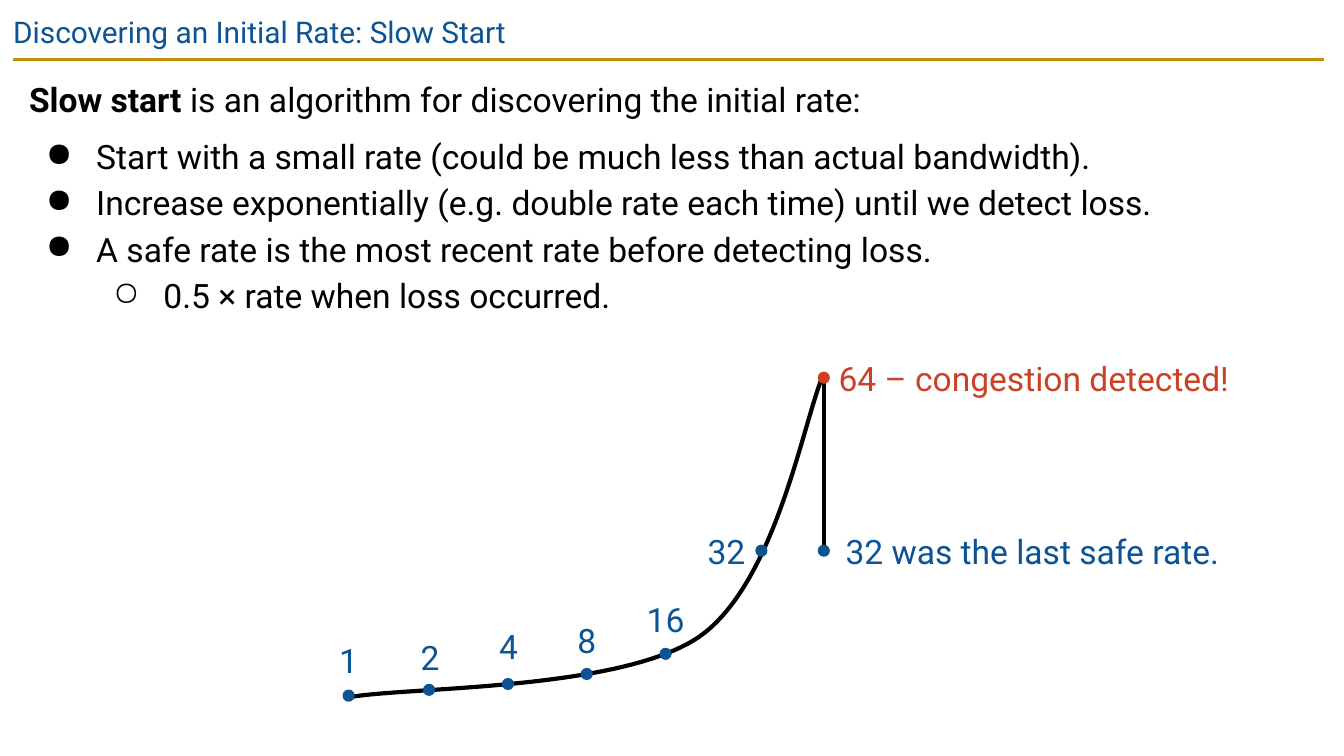
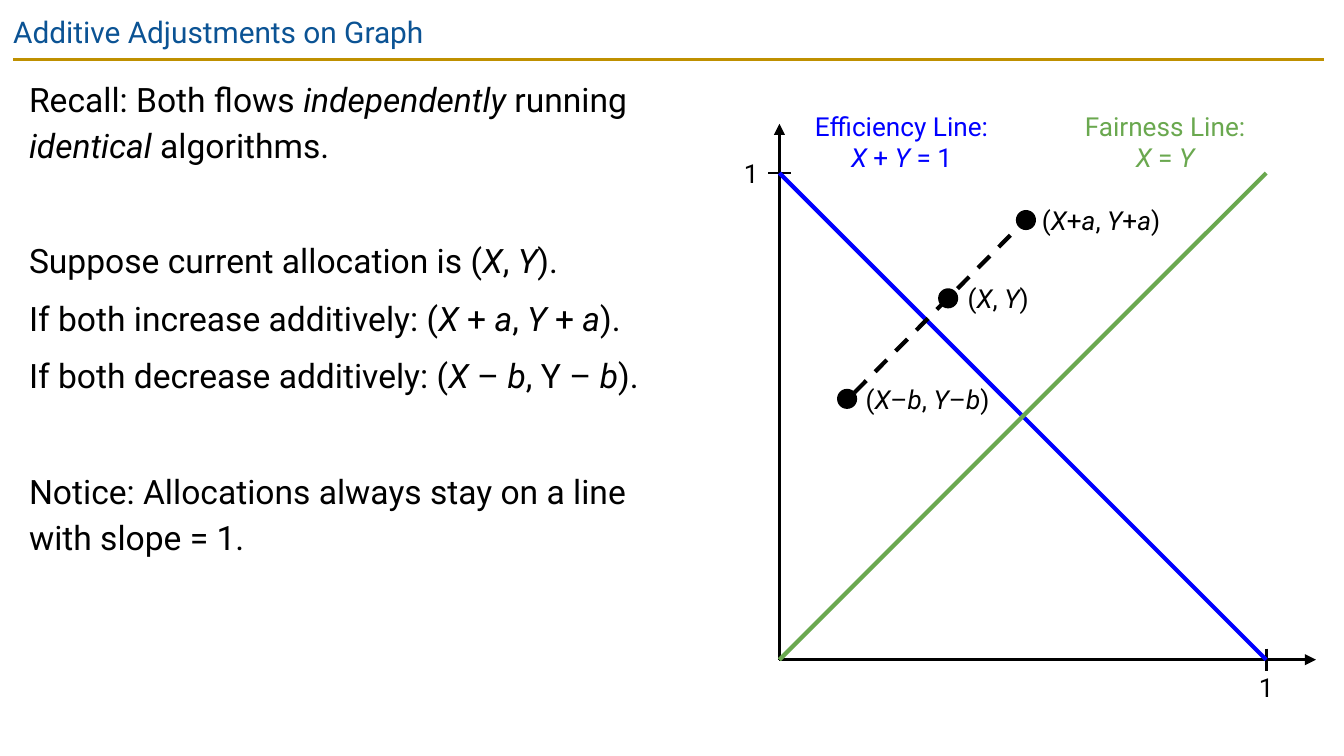
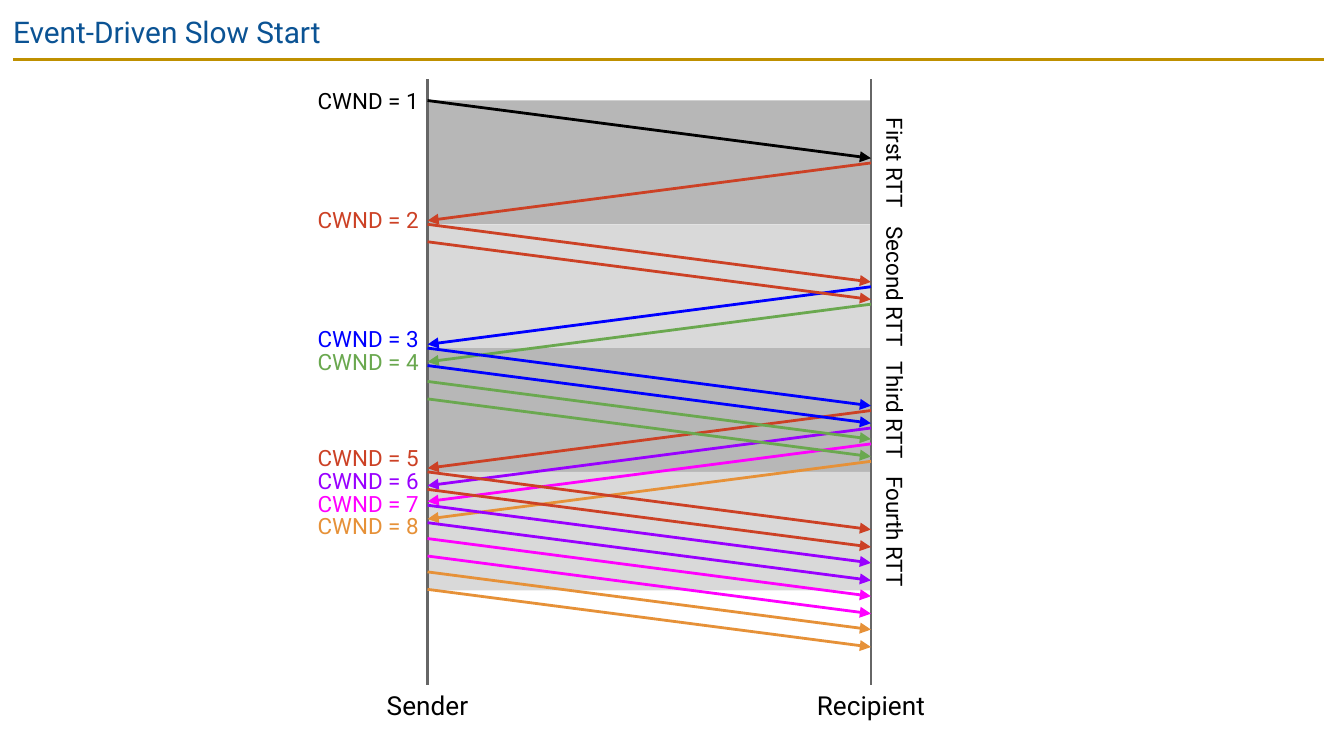
from lxml import etree
from pptx import Presentation
from pptx.dml.color import RGBColor
from pptx.enum.dml import MSO_LINE
from pptx.enum.shapes import MSO_CONNECTOR, MSO_SHAPE
from pptx.enum.text import MSO_ANCHOR, PP_ALIGN
from pptx.oxml.ns import qn
from pptx.util import Cm, Pt

LEFT, CENTER = PP_ALIGN.LEFT, PP_ALIGN.CENTER
TOP = MSO_ANCHOR.TOP
STRAIGHT = MSO_CONNECTOR.STRAIGHT
RECTANGLE, OVAL = MSO_SHAPE.RECTANGLE, MSO_SHAPE.OVAL
DASH = MSO_LINE.DASH

BLACK = RGBColor(0x00, 0x00, 0x00)
NAVY = RGBColor(0x0B, 0x53, 0x94)
GOLD = RGBColor(0xBF, 0x90, 0x00)
RED = RGBColor(0xCC, 0x41, 0x25)
BLUE = RGBColor(0x00, 0x00, 0xFF)
GREEN = RGBColor(0x6A, 0xA8, 0x4F)
PURPLE = RGBColor(0x99, 0x00, 0xFF)
MAGENTA = RGBColor(0xFF, 0x00, 0xFF)
ORANGE = RGBColor(0xE6, 0x91, 0x38)
LIGHT_GRAY = RGBColor(0xD9, 0xD9, 0xD9)
MID_GRAY = RGBColor(0xB7, 0xB7, 0xB7)
DARK_GRAY = RGBColor(0x66, 0x66, 0x66)

FONT = "Roboto"
BULLETS = "●○"


def apply(target, values):
    for name, value in values.items():
        setattr(target, name, value)


class Deck:
    def __init__(self):
        self.prs = Presentation()
        apply(self.prs, {"slide_width": Cm(25.4), "slide_height": Cm(14.29)})
        self.s = None

    def slide(self, title):
        self.s = self.prs.slides.add_slide(self.prs.slide_layouts[6])
        self.line(0.25, 1.12, 25.02, 1.12, GOLD)
        self.text(title, 0, 0, 23.67, 1.09, 16, NAVY, LEFT, (0.25, 0.25))

    def frame(self, x, y, w, h, inset=(0, 0), rotation=0):
        sp = self.s.shapes.add_textbox(Cm(x), Cm(y), Cm(w), Cm(h))
        sp.rotation = rotation
        across, down = map(Cm, inset)
        apply(sp.text_frame, {
            "word_wrap": True, "vertical_anchor": TOP,
            "margin_left": across, "margin_right": across,
            "margin_top": down, "margin_bottom": down})
        return sp.text_frame

    def runs(self, p, text, size, color, emphasis="italic"):
        for i, part in enumerate(text.split("*")):
            if part:
                r = p.add_run()
                r.text = part
                apply(r.font, {"name": FONT, "size": Pt(size)})
                r.font.color.rgb = color
                if i % 2:
                    setattr(r.font, emphasis, True)

    def text(self, text, x, y, w, h, size, color, align=CENTER, inset=(0, 0), rotation=0):
        tf = self.frame(x, y, w, h, inset, rotation)
        for i, row in enumerate(text.split("\n")):
            p = tf.add_paragraph() if i else tf.paragraphs[0]
            p.alignment = align
            self.runs(p, row, size, color)

    def body(self, paragraphs, w, h, emphasis="italic"):
        tf = self.frame(0.3, 1.12, w, h, (0.25, 0.25))
        for i, (text, before, level) in enumerate(paragraphs):
            p = tf.add_paragraph() if i else tf.paragraphs[0]
            apply(p, {"line_spacing": 1.15, "space_before": Pt(before)})
            if level is not None:
                self.bullet(p, level)
            self.runs(p, text, 18, BLACK, emphasis)

    def bullet(self, p, level):
        p.level = level
        pPr = p._p.get_or_add_pPr()
        pPr.set("marL", str(Cm(1.27 * (level + 1))))
        pPr.set("indent", str(-Cm(0.95)))
        color = etree.SubElement(pPr, qn("a:buClr"))
        etree.SubElement(color, qn("a:srgbClr"), val=str(BLACK))
        etree.SubElement(pPr, qn("a:buChar"), char=BULLETS[level])

    def line(self, x1, y1, x2, y2, color, width=1.5, arrow=False, dash=None):
        cxn = self.s.shapes.add_connector(STRAIGHT, Cm(x1), Cm(y1), Cm(x2), Cm(y2))
        cxn.line.color.rgb = color
        apply(cxn.line, {"width": Pt(width), "dash_style": dash})
        if arrow:
            etree.SubElement(cxn.line._get_or_add_ln(), qn("a:tailEnd"), type="triangle")
        etree.SubElement(cxn._element.spPr, qn("a:effectLst"))

    def shape(self, kind, x, y, w, h, color):
        sp = self.s.shapes.add_shape(kind, Cm(x), Cm(y), Cm(w), Cm(h))
        sp.shadow.inherit = False
        sp.fill.solid()
        sp.fill.fore_color.rgb = color
        sp.line.fill.background()

    def dot(self, x, y, d, color):
        self.shape(OVAL, x - d / 2, y - d / 2, d, d, color)

    def curve(self, points, color, width):
        start, *controls = [(Cm(x), Cm(y)) for x, y in points]
        builder = self.s.shapes.build_freeform(*start)
        builder.add_line_segments(controls, close=False)
        sp = builder.convert_to_shape()
        sp.shadow.inherit = False
        sp.fill.background()
        sp.line.color.rgb = color
        sp.line.width = Pt(width)
        outline = next(sp._element.iter(qn("a:path")))
        steps = outline.findall(qn("a:lnTo"))
        for i in range(0, len(steps), 3):
            bezier = etree.SubElement(outline, qn("a:cubicBezTo"))
            for step in steps[i:i + 3]:
                bezier.append(step[0])
                outline.remove(step)


def slow_start(deck):
    deck.slide("Discovering an Initial Rate: Slow Start")
    deck.body([
        ("*Slow start* is an algorithm for discovering the initial rate:", 0, None),
        ("Start with a small rate (could be much less than actual bandwidth).", 6, 0),
        ("Increase exponentially (e.g. double rate each time) until we detect loss.", 0, 0),
        ("A safe rate is the most recent rate before detecting loss.", 0, 0),
        ("0.5 × rate when loss occurred.", 0, 1),
    ], 24.74, 5.33, "bold")

    loss_x, loss_y, safe_y = 15.57, 7.14, 10.41
    deck.curve([(6.6, 13.18), (7.7, 12.98), (11.71, 13.06), (13.21, 12.04),
                (14.68, 11.02), (15.19, 7.9), (15.57, 7.06)], BLACK, 2.25)
    deck.line(loss_x, loss_y, loss_x, safe_y, BLACK, 2.25)

    rates = [("1", 6.59, 13.15, 6.59, 12.09), ("2", 8.11, 13.04, 8.13, 12.04),
             ("4", 9.6, 12.93, 9.61, 11.84), ("8", 11.09, 12.74, 11.09, 11.71),
             ("16", 12.58, 12.36, 12.58, 11.33), ("32", 14.39, safe_y, 13.73, 10.03)]
    for rate, x, y, label_x, label_y in rates:
        deck.dot(x, y, 0.23, NAVY)
        deck.text(rate, label_x - 0.47, label_y, 0.94, 0.76, 18, NAVY)
    deck.dot(loss_x, safe_y, 0.23, NAVY)
    deck.dot(loss_x, loss_y, 0.23, RED)
    deck.text("32 was the last safe rate.", 15.98, 10.03, 7.34, 0.76, 18, NAVY, LEFT)
    deck.text("64 – congestion detected!", 15.85, 6.76, 7.57, 0.76, 18, RED, LEFT)


def additive_adjustments(deck):
    deck.slide("Additive Adjustments on Graph")
    deck.body([
        ("Recall: Both flows *independently* running *identical* algorithms.", 0, None),
        ("Suppose current allocation is (*X*, *Y*).", 37, None),
        ("If both increase additively: (*X *+ *a*, *Y *+ *a*).", 6, None),
        ("If both decrease additively: (*X* – *b*, Y – *b*).", 6, None),
        ("Notice: Allocations always stay on a line with slope = 1.", 37, None),
    ], 13.13, 12.57)

    x0, y0, unit, tick = 14.73, 12.47, 9.2, 0.21
    x1, y1 = x0 + unit, y0 - unit
    deck.line(x0, y0, x0, 2.34, BLACK, arrow=True)
    deck.line(x0 - tick, y1, x0 + tick, y1, BLACK)
    deck.text("1", 13.87, 2.97, 0.66, 0.61, 14, BLACK)
    deck.line(x0, y0, 24.87, y0, BLACK, arrow=True)
    deck.line(x1, y0 - tick, x1, y0 + tick, BLACK)
    deck.text("1", 23.6, 12.7, 0.66, 0.61, 14, BLACK)
    deck.line(x0, y1, x1, y0, BLUE, 2.25)
    deck.line(x0, y0, x1, y1, GREEN, 2.25)
    deck.text("Fairness Line:\n*X* = *Y*", 20.37, 2.08, 3.3, 1.19, 14, GREEN)
    deck.text("Efficiency Line:\n*X* + *Y* = 1", 15.39, 2.08, 3.3, 1.19, 14, BLUE)

    allocations = [("(*X*, *Y*)", 17.92, 5.64, 18.29, 2.24, LEFT),
                   ("(*X*+*a*, *Y*+*a*)", 19.39, 4.16, 19.63, 2.36, CENTER),
                   ("(*X*–*b*, *Y*–*b*)", 16.01, 7.54, 16.26, 2.54, CENTER)]
    for label, x, y, label_x, w, align in allocations:
        deck.text(label, label_x, y - 0.3, w, 0.61, 14, BLACK, align)
        deck.dot(x, y, 0.38, BLACK)
    deck.line(16.15, 7.42, 19.25, 4.29, BLACK, 2.25, dash=DASH)


def event_driven(deck):
    deck.slide("Event-Driven Slow Start")
    sender, recipient = 8.08, 16.46
    first_top, rtt, flight, ack_delay = 1.9, 2.34, 1.09, 1.18
    pair_gap, pair_pitch = 0.33, 0.63
    names = ["First RTT", "Second RTT", "Third RTT", "Fourth RTT"]
    windows = [[BLACK], [RED], [BLUE, GREEN], [RED, PURPLE, MAGENTA, ORANGE]]
    tops = [first_top + rtt * i for i in range(len(names))]

    for i, (name, top) in enumerate(zip(names, tops)):
        h = 2.24 if i == len(names) - 1 else rtt
        deck.shape(RECTANGLE, sender, top, recipient - sender, h,
                   LIGHT_GRAY if i % 2 else MID_GRAY)
        deck.text(name, recipient + 0.46 - 1.15, top + h / 2 - 0.25, 2.3, 0.51, 12,
                  BLACK, rotation=90)

    for role, x, w in [("Sender", sender, 2.08), ("Recipient", recipient, 2.59)]:
        deck.text(role, x - w / 2, 12.95, w, 0.76, 14, BLACK, inset=(0.25, 0.08))
        deck.line(x, 1.5, x, 12.95, DARK_GRAY)

    cwnd = 0
    for i, (colors, top) in enumerate(zip(windows, tops)):
        sends = [(top + pair_pitch * k + pair_gap * j, color)
                 for k, color in enumerate(colors) for j in range(2 if i else 1)]
        acks = windows[i + 1] if i + 1 < len(windows) else [None] * len(sends)
        for (y, color), ack_color in zip(sends, acks):
            deck.line(sender, y, recipient, y + flight, color, arrow=True)
            if ack_color is not None:
                ack_y = y + ack_delay
                deck.line(recipient, ack_y, sender, ack_y + flight, ack_color, arrow=True)
        for k, color in enumerate(colors):
            cwnd += 1
            deck.text(f"CWND = {cwnd}", 5.92, 1.65 + 2.25 * i + 0.43 * k, 2.08, 0.51,
                      12, color)


def main():
    deck = Deck()
    slow_start(deck)
    additive_adjustments(deck)
    event_driven(deck)
    deck.prs.save("out.pptx")


if __name__ == "__main__":
    main()
